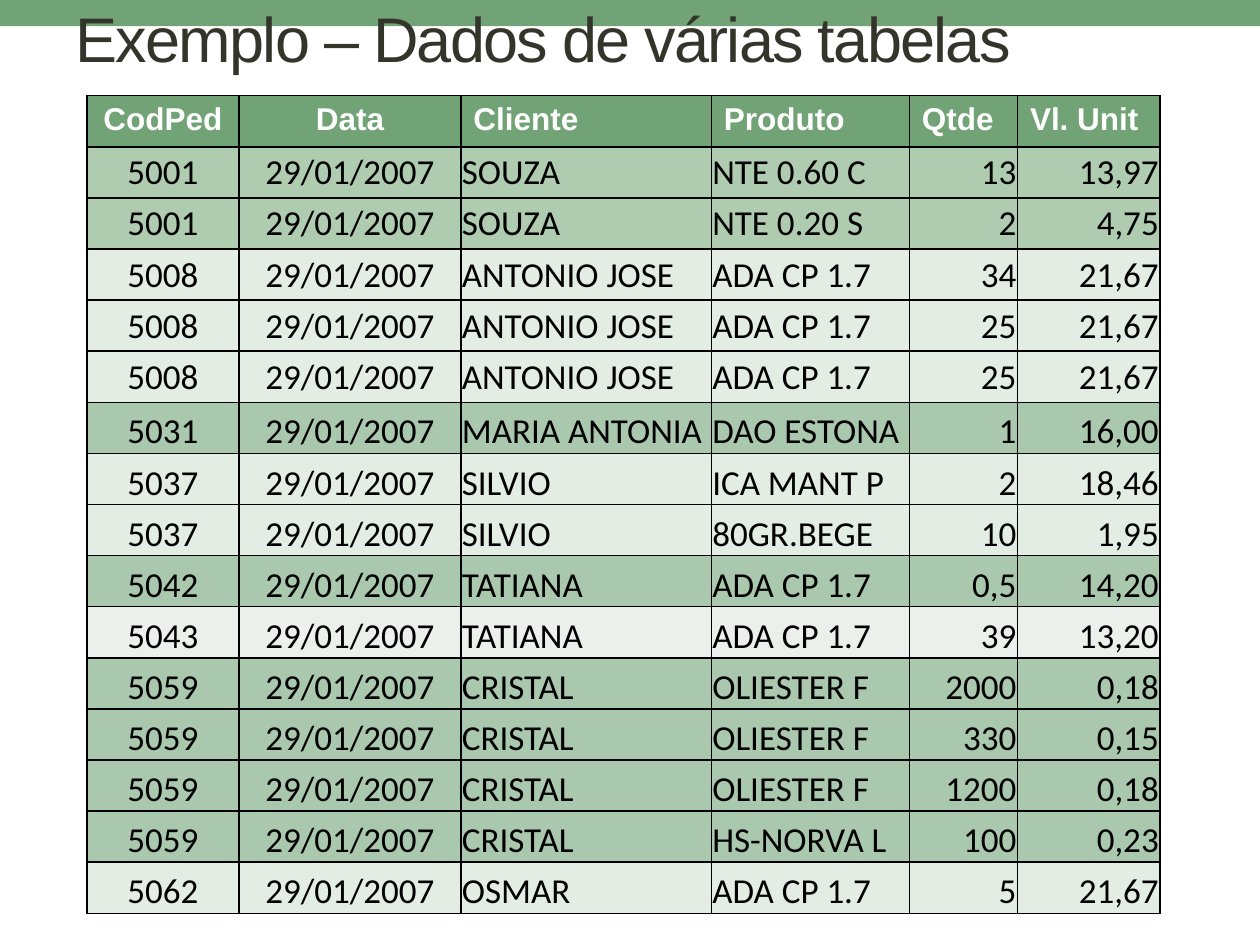
from pptx import Presentation
from pptx.dml.color import RGBColor
from pptx.enum.shapes import MSO_SHAPE
from pptx.enum.text import MSO_ANCHOR, PP_ALIGN
from pptx.oxml.ns import qn
from pptx.util import Cm, Pt
from lxml import etree

RECTANGLE = MSO_SHAPE.RECTANGLE
TOP, MIDDLE, BOTTOM = MSO_ANCHOR.TOP, MSO_ANCHOR.MIDDLE, MSO_ANCHOR.BOTTOM
LEFT, CENTER, RIGHT = PP_ALIGN.LEFT, PP_ALIGN.CENTER, PP_ALIGN.RIGHT

GREEN = "72A376"
SAGE = "B0CCB0"
MINT = "AAC8AD"
PALE = "E3EDE4"
MIST = "EBF0EC"
BORDER_SIDES = ("a:lnL", "a:lnR", "a:lnT", "a:lnB")

ORDER_DATE = "29/01/2007"
ROW_HEIGHT = 1.03
COLUMNS = [
    ("CodPed", 3.07, CENTER, CENTER),
    ("Data", 4.47, CENTER, CENTER),
    ("Cliente", 5.05, LEFT, LEFT),
    ("Produto", 3.99, LEFT, LEFT),
    ("Qtde", 2.18, LEFT, RIGHT),
    ("Vl. Unit", 2.87, LEFT, RIGHT),
]
ORDERS = [
    ("5001", "SOUZA", SAGE, MIDDLE, [("NTE 0.60 C", "13", "13,97"), ("NTE 0.20 S", "2", "4,75")]),
    ("5008", "ANTONIO JOSE", PALE, MIDDLE, [
        ("ADA CP 1.7", "34", "21,67"),
        ("ADA CP 1.7", "25", "21,67"),
        ("ADA CP 1.7", "25", "21,67"),
    ]),
    ("5031", "MARIA ANTONIA", MINT, BOTTOM, [("DAO ESTONA", "1", "16,00")]),
    ("5037", "SILVIO", PALE, BOTTOM, [("ICA MANT P", "2", "18,46"), ("80GR.BEGE", "10", "1,95")]),
    ("5042", "TATIANA", MINT, BOTTOM, [("ADA CP 1.7", "0,5", "14,20")]),
    ("5043", "TATIANA", MIST, BOTTOM, [("ADA CP 1.7", "39", "13,20")]),
    ("5059", "CRISTAL", MINT, BOTTOM, [
        ("OLIESTER F", "2000", "0,18"),
        ("OLIESTER F", "330", "0,15"),
        ("OLIESTER F", "1200", "0,18"),
        ("HS-NORVA L", "100", "0,23"),
    ]),
    ("5062", "OSMAR", PALE, BOTTOM, [("ADA CP 1.7", "5", "21,67")]),
]


def color(value):
    return RGBColor.from_string(value)


def format_text(text_frame, font_name, size, font_color, alignment, bold=False):
    for paragraph in text_frame.paragraphs:
        paragraph.alignment = alignment
        for run in paragraph.runs:
            run.font.name = font_name
            run.font.size = Pt(size)
            run.font.bold = bold
            run.font.color.rgb = color(font_color)


def set_borders(cell):
    properties = cell._tc.get_or_add_tcPr()
    for index, side in enumerate(BORDER_SIDES):
        line = etree.Element(qn(side), w=str(Pt(1)))
        fill = etree.SubElement(line, qn("a:solidFill"))
        etree.SubElement(fill, qn("a:srgbClr"), val="000000")
        properties.insert(index, line)


def fill_cell(cell, text, fill, anchor):
    cell.text_frame.text = text
    cell.vertical_anchor = anchor
    cell.fill.solid()
    cell.fill.fore_color.rgb = color(fill)
    set_borders(cell)


def set_title(slide, text):
    title = slide.shapes.title
    title.left, title.top, title.width, title.height = Cm(1.27), Cm(-0.03), Cm(22.86), Cm(1.55)
    title.text_frame.text = text
    title.text_frame.vertical_anchor = MIDDLE
    format_text(title.text_frame, "Arial", 36, "34352A", LEFT)
    for run in title.text_frame.paragraphs[0].runs:
        run.font._element.set("spc", "-100")


def add_top_band(slide, width):
    band = slide.shapes.add_shape(RECTANGLE, 0, 0, width, Cm(0.53))
    band.shadow.inherit = False
    band.fill.solid()
    band.fill.fore_color.rgb = color(GREEN)
    band.line.fill.background()
    slide.shapes.title._element.addprevious(band._element)


def add_order_table(slide):
    rows = [
        ((code, ORDER_DATE, client, *item), fill, anchor)
        for code, client, fill, anchor, items in ORDERS
        for item in items
    ]
    row_count = len(rows) + 1
    total_width = sum(width for _, width, _, _ in COLUMNS)
    table = slide.shapes.add_table(
        row_count, len(COLUMNS), Cm(1.75), Cm(1.93), Cm(total_width), Cm(ROW_HEIGHT * row_count)
    ).table
    for row in table.rows:
        row.height = Cm(ROW_HEIGHT)
    for column, (heading, width, heading_alignment, alignment) in enumerate(COLUMNS):
        table.columns[column].width = Cm(width)
        header = table.cell(0, column)
        fill_cell(header, heading, GREEN, TOP)
        format_text(header.text_frame, "Arial", 18, "FFFFFF", heading_alignment, True)
        for index, (values, fill, anchor) in enumerate(rows, 1):
            cell = table.cell(index, column)
            fill_cell(cell, values[column], fill, anchor)
            cell.margin_left = cell.margin_right = cell.margin_top = Cm(0.02)
            cell.margin_bottom = 0
            format_text(cell.text_frame, "Calibri", 20, "000000", alignment)


def main():
    presentation = Presentation()
    presentation.slide_width, presentation.slide_height = Cm(25.4), Cm(19.05)
    slide = presentation.slides.add_slide(presentation.slide_layouts[5])
    set_title(slide, "Exemplo – Dados de várias tabelas")
    add_top_band(slide, presentation.slide_width)
    add_order_table(slide)
    presentation.save("out.pptx")


if __name__ == "__main__":
    main()
